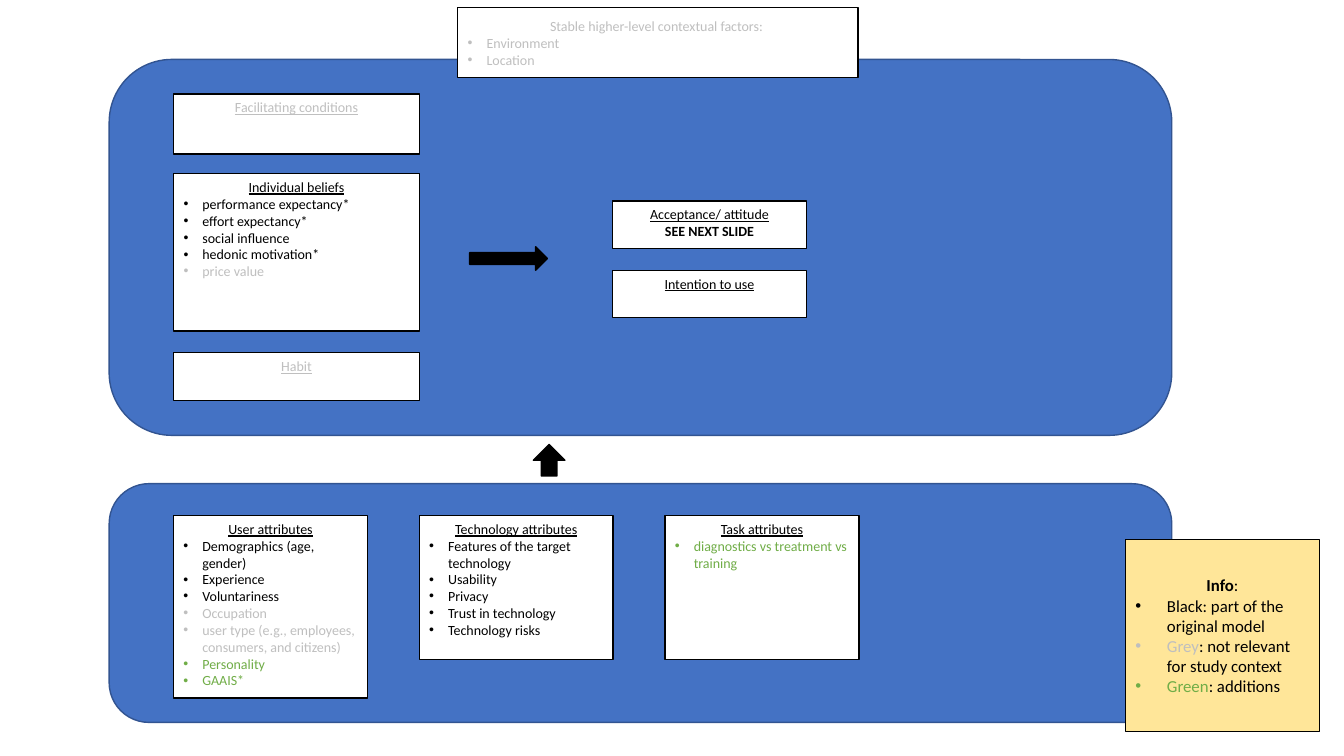
from lxml import etree
from pptx import Presentation
from pptx.dml.color import RGBColor
from pptx.enum.shapes import MSO_SHAPE
from pptx.enum.text import MSO_ANCHOR, PP_ALIGN
from pptx.oxml.ns import qn
from pptx.util import Pt

RECT, ROUND, ARROW = MSO_SHAPE.RECTANGLE, MSO_SHAPE.ROUNDED_RECTANGLE, MSO_SHAPE.RIGHT_ARROW
TOP, MIDDLE = MSO_ANCHOR.TOP, MSO_ANCHOR.MIDDLE
CENTER, LEFT = PP_ALIGN.CENTER, PP_ALIGN.LEFT
BLACK, GREY, GREEN, WHITE = "000000", "BFBFBF", "70AD47", "FFFFFF"
BLUE, NAVY, YELLOW = "4472C4", "325491", "FFE699"

# Content: a line is a list of runs (text, colour, style); u = underlined, b = bold
FACILITATING = [[("Facilitating conditions", GREY, "u")]], []
BELIEFS = [[("Individual beliefs", BLACK, "u")]], [
    [("performance expectancy*", BLACK, "")],
    [("effort expectancy*", BLACK, "")],
    [("social influence", BLACK, "")],
    [("hedonic motivation*", BLACK, "")],
    [("price value", GREY, "")],
]
HABIT = [[("Habit", GREY, "u")]], []
ACCEPTANCE = [[("Acceptance/ attitude", BLACK, "u")], [("SEE NEXT SLIDE", BLACK, "b")]], []
INTENTION = [[("Intention to use", BLACK, "u")]], []
USER = [[("User attributes", BLACK, "u")]], [
    [("Demographics (age, gender)", BLACK, "")],
    [("Experience", BLACK, "")],
    [("Voluntariness", BLACK, "")],
    [("Occupation", GREY, "")],
    [("user type (e.g., employees, consumers, and citizens)", GREY, "")],
    [("Personality", GREEN, "")],
    [("GAAIS*", GREEN, "")],
]
TECHNOLOGY = [[("Technology attributes", BLACK, "u")]], [
    [("Features of the target technology", BLACK, "")],
    [("Usability", BLACK, "")],
    [("Privacy", BLACK, "")],
    [("Trust in technology", BLACK, "")],
    [("Technology risks", BLACK, "")],
]
TASK = [[("Task attributes", BLACK, "u")]], [
    [("diagnostics vs treatment vs training", GREEN, "")],
]
CONTEXT = [[("Stable higher-level contextual factors: ", GREY, "")]], [
    [("Environment", GREY, "")],
    [("Location", GREY, "")],
]
INFO = [[("Info", BLACK, "b"), (":", BLACK, "")]], [
    [("Black: part of the original model", BLACK, "")],
    [("Grey", GREY, ""), (": not relevant for study context", BLACK, "")],
    [("Green", GREEN, ""), (": additions", BLACK, "")],
]

prs = Presentation()
prs.slide_width, prs.slide_height = Pt(960), Pt(540)
s = prs.slides.add_slide(prs.slide_layouts[6])


def rgb(hex_colour):
    return RGBColor.from_string(hex_colour)


def add_shape(kind, x, y, w, h, fill, line=BLACK):
    sp = s.shapes.add_shape(kind, Pt(x), Pt(y), Pt(w), Pt(h))
    sp.shadow.inherit = False
    sp.fill.solid()
    sp.fill.fore_color.rgb = rgb(fill)
    sp.line.color.rgb = rgb(line)
    sp.line.width = Pt(1)
    return sp


def set_bullet(p, indent):
    pPr = p._p.get_or_add_pPr()
    pPr.set("marL", str(Pt(indent)))
    pPr.set("indent", str(-Pt(indent)))
    etree.SubElement(pPr, qn("a:buFont")).set("typeface", "Arial")
    etree.SubElement(pPr, qn("a:buChar")).set("char", "•")


def write_text(sp, content, size=10, indent=13.5, anchor=TOP):
    headings, items = content
    tf = sp.text_frame
    tf.word_wrap = True
    tf.vertical_anchor = anchor
    for i, line in enumerate(headings + items):
        p = tf.paragraphs[0] if i == 0 else tf.add_paragraph()
        if i < len(headings):
            p.alignment = CENTER
        else:
            p.alignment = LEFT
            set_bullet(p, indent)
        for text, colour, style in line:
            r = p.add_run()
            r.text = text
            r.font.name = "Calibri"
            r.font.size = Pt(size)
            r.font.color.rgb = rgb(colour)
            r.font.underline = style == "u"
            r.font.bold = style == "b"


def add_box(x, y, w, h, content, fill=WHITE, **text_format):
    write_text(add_shape(RECT, x, y, w, h, fill), content, **text_format)


# Background panels
for y, h in [(42.5, 268.5), (345.5, 170.5)]:
    add_shape(ROUND, 78, y, 759, h, BLUE, NAVY)

# Upper panel: predictors on the left, outcomes in the middle
BOX_LEFT, BOX_W = 124, 138.5
for y, h, content in [(67, 43, FACILITATING), (124, 112.5, BELIEFS), (252, 34, HABIT)]:
    add_box(BOX_LEFT, y, 175.5, h, content)
for y, content in [(143.5, ACCEPTANCE), (193, INTENTION)]:
    add_box(437.5, y, BOX_W, 34, content)

# Lower panel: attribute columns
COLUMN_STEP = 175.5
for i, (h, content) in enumerate([(130.5, USER), (103, TECHNOLOGY), (103, TASK)]):
    add_box(BOX_LEFT + i * COLUMN_STEP, 368.25, BOX_W, h, content)

# Context factors and colour key
add_box(327, 5.5, 286, 50, CONTEXT, anchor=MIDDLE)
add_box(804, 385.5, BOX_W, 137, INFO, fill=YELLOW, size=12, indent=22.5, anchor=MIDDLE)

# Arrows
add_shape(ARROW, 335.5, 176.25, 55.5, 16.75, BLACK)
up_arrow = add_shape(ARROW, 381, 317.5, 22.5, 22.5, BLACK)
up_arrow.rotation = 270

prs.save("out.pptx")
